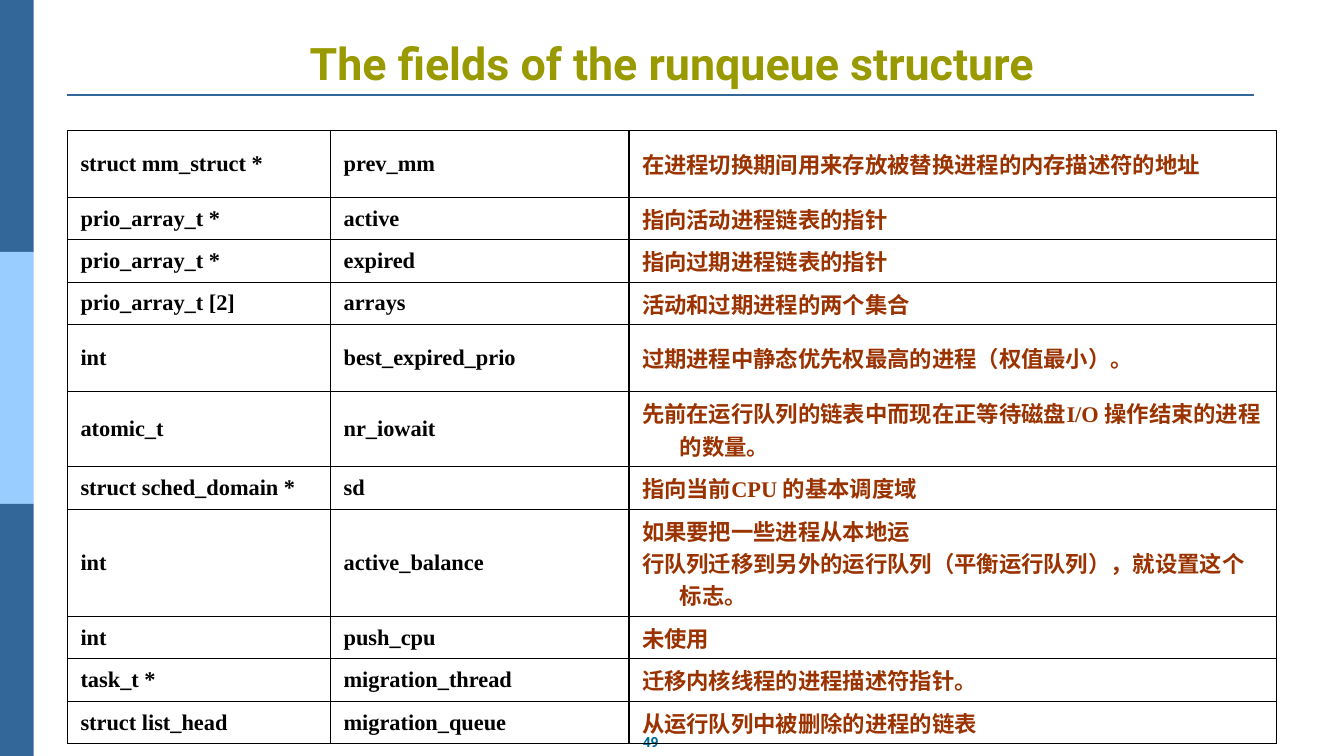
from lxml.etree import SubElement
from pptx import Presentation
from pptx.dml.color import RGBColor
from pptx.enum.shapes import MSO_CONNECTOR, MSO_SHAPE
from pptx.enum.text import MSO_ANCHOR, MSO_AUTO_SIZE, PP_ALIGN
from pptx.oxml import parse_xml
from pptx.oxml.ns import nsdecls, qn
from pptx.util import Cm, Pt

TITLE = "The fields of the runqueue structure"
PAGE_NUMBER = "49"
FIELDS = [  # type, name, description paragraphs, row height in cm
    ("struct mm_struct *", "prev_mm", ["在进程切换期间用来存放被替换进程的内存描述符的地址"], 1.69),
    ("prio_array_t *", "active", ["指向活动进程链表的指针"], 1.07),
    ("prio_array_t *", "expired", ["指向过期进程链表的指针"], 1.07),
    ("prio_array_t [2]", "arrays", ["活动和过期进程的两个集合"], 1.07),
    ("int", "best_expired_prio", ["过期进程中静态优先权最高的进程（权值最小）。"], 1.69),
    ("atomic_t", "nr_iowait",
     ["先前在运行队列的链表中而现在正等待磁盘I/O 操作结束的进程的数量。"], 1.89),
    ("struct sched_domain *", "sd", ["指向当前CPU 的基本调度域"], 1.07),
    ("int", "active_balance",
     ["如果要把一些进程从本地运",
      "行队列迁移到另外的运行队列（平衡运行队列），就设置这个标志。"], 2.7),
    ("int", "push_cpu", ["未使用"], 1.07),
    ("task_t *", "migration_thread", ["迁移内核线程的进程描述符指针。"], 1.07),
    ("struct list_head", "migration_queue", ["从运行队列中被删除的进程的链表"], 1.07),
]

DARK_BLUE = RGBColor(0x33, 0x66, 0x99)
LIGHT_BLUE = RGBColor(0x99, 0xCC, 0xFF)
NUMBER_BLUE = RGBColor(0x00, 0x66, 0x99)
OLIVE = RGBColor(0x99, 0x99, 0x00)
BLACK = RGBColor(0x00, 0x00, 0x00)
BROWN = RGBColor(0x9A, 0x33, 0x00)

SLIDE_WIDTH, SLIDE_HEIGHT = Cm(33.87), Cm(19.05)
LEFT_EDGE, CONTENT_WIDTH = Cm(1.7), Cm(30.48)
COLUMN_WIDTHS = [Cm(6.63), Cm(7.52), Cm(16.33)]
COLUMN_COLORS = [BLACK, BLACK, BROWN]
BAND_COLORS = [DARK_BLUE, LIGHT_BLUE, DARK_BLUE]
HANGING_INDENT = Cm(0.95)

TITLE_FONT = {"name": "Roboto", "size": Pt(32), "bold": True}
NUMBER_FONT = {"name": "Roboto", "size": Pt(10), "bold": True}
CELL_FONT = {"name": "Times New Roman", "size": Pt(16), "bold": True}
CELL_FORMAT = {"margin_left": Cm(0.33), "margin_right": Cm(0.33), "margin_top": Cm(0.13),
               "margin_bottom": Cm(0.13), "vertical_anchor": MSO_ANCHOR.MIDDLE}


def apply_format(target, values):
    """Set every attribute named in values on the target."""
    for name, value in values.items():
        setattr(target, name, value)


def write_paragraph(paragraph, text, font, color, alignment=PP_ALIGN.LEFT):
    """Fill a paragraph with one formatted run."""
    paragraph.alignment = alignment
    run = paragraph.add_run()
    run.text = text
    apply_format(run.font, font)
    run.font.color.rgb = color


def add_side_bands(slide):
    """Stack equal colour bands along the left edge."""
    height = SLIDE_HEIGHT // len(BAND_COLORS)
    for index, color in enumerate(BAND_COLORS):
        band = slide.shapes.add_shape(MSO_SHAPE.RECTANGLE, 0, index * height, Cm(0.85), height)
        band.shadow.inherit = False
        band.fill.solid()
        band.fill.fore_color.rgb = color
        band.line.fill.background()


def add_title_rule(slide):
    """Draw the line under the title."""
    rule = slide.shapes.add_connector(
        MSO_CONNECTOR.STRAIGHT, LEFT_EDGE, Cm(2.4), Cm(31.6), Cm(2.4))
    rule.line.color.rgb = DARK_BLUE
    rule.line.width = Pt(1.5)
    SubElement(rule._element.spPr, qn("a:effectLst"))


def add_page_number(slide):
    """Centre the page number at the foot of the slide."""
    box = slide.shapes.add_textbox(Cm(15.93), Cm(18.36), Cm(0.94), Cm(0.69))
    box.text_frame.word_wrap = False
    write_paragraph(box.text_frame.paragraphs[0], PAGE_NUMBER, NUMBER_FONT,
                    NUMBER_BLUE, PP_ALIGN.CENTER)


def format_title(slide):
    """Place and fill the title placeholder."""
    title = slide.shapes.title
    apply_format(title, {"left": LEFT_EDGE, "top": Cm(0.78),
                         "width": CONTENT_WIDTH, "height": Cm(1.6)})
    apply_format(title.text_frame, {"word_wrap": True, "auto_size": MSO_AUTO_SIZE.NONE,
                                    "vertical_anchor": MSO_ANCHOR.BOTTOM})
    write_paragraph(title.text_frame.paragraphs[0], TITLE, TITLE_FONT, OLIVE, PP_ALIGN.CENTER)


def add_borders(cell):
    """Give a cell a thin black line on all four sides."""
    properties = cell._tc.get_or_add_tcPr()
    for position, side in enumerate(("lnL", "lnR", "lnT", "lnB")):
        properties.insert(position, parse_xml(
            f'<a:{side} {nsdecls("a")} w="{Pt(1)}"><a:solidFill>'
            f'<a:srgbClr val="{BLACK}"/></a:solidFill></a:{side}>'))


def fill_cell(cell, texts, color):
    """Write hanging paragraphs into a bordered, unfilled cell."""
    apply_format(cell, CELL_FORMAT)
    cell.fill.background()
    add_borders(cell)
    for index, text in enumerate(texts):
        frame = cell.text_frame
        paragraph = frame.add_paragraph() if index else frame.paragraphs[0]
        write_paragraph(paragraph, text, CELL_FONT, color)
        properties = paragraph._p.get_or_add_pPr()
        properties.set("marL", str(HANGING_INDENT))
        properties.set("indent", str(-HANGING_INDENT))


def add_field_table(slide):
    """Build the table of runqueue fields."""
    heights = [Cm(field[3]) for field in FIELDS]
    table = slide.shapes.add_table(len(FIELDS), len(COLUMN_WIDTHS), LEFT_EDGE, Cm(3.28),
                                   CONTENT_WIDTH, sum(heights)).table
    apply_format(table, {"first_row": False, "horz_banding": False})
    for column, width in zip(table.columns, COLUMN_WIDTHS):
        column.width = width
    for row, height, (kind, name, description, _) in zip(table.rows, heights, FIELDS):
        row.height = height
        for cell, texts, color in zip(row.cells, ([kind], [name], description), COLUMN_COLORS):
            fill_cell(cell, texts, color)


presentation = Presentation()
apply_format(presentation, {"slide_width": SLIDE_WIDTH, "slide_height": SLIDE_HEIGHT})
slide = presentation.slides.add_slide(presentation.slide_layouts[5])
add_side_bands(slide)
add_title_rule(slide)
add_page_number(slide)
format_title(slide)
add_field_table(slide)
presentation.save("out.pptx")
